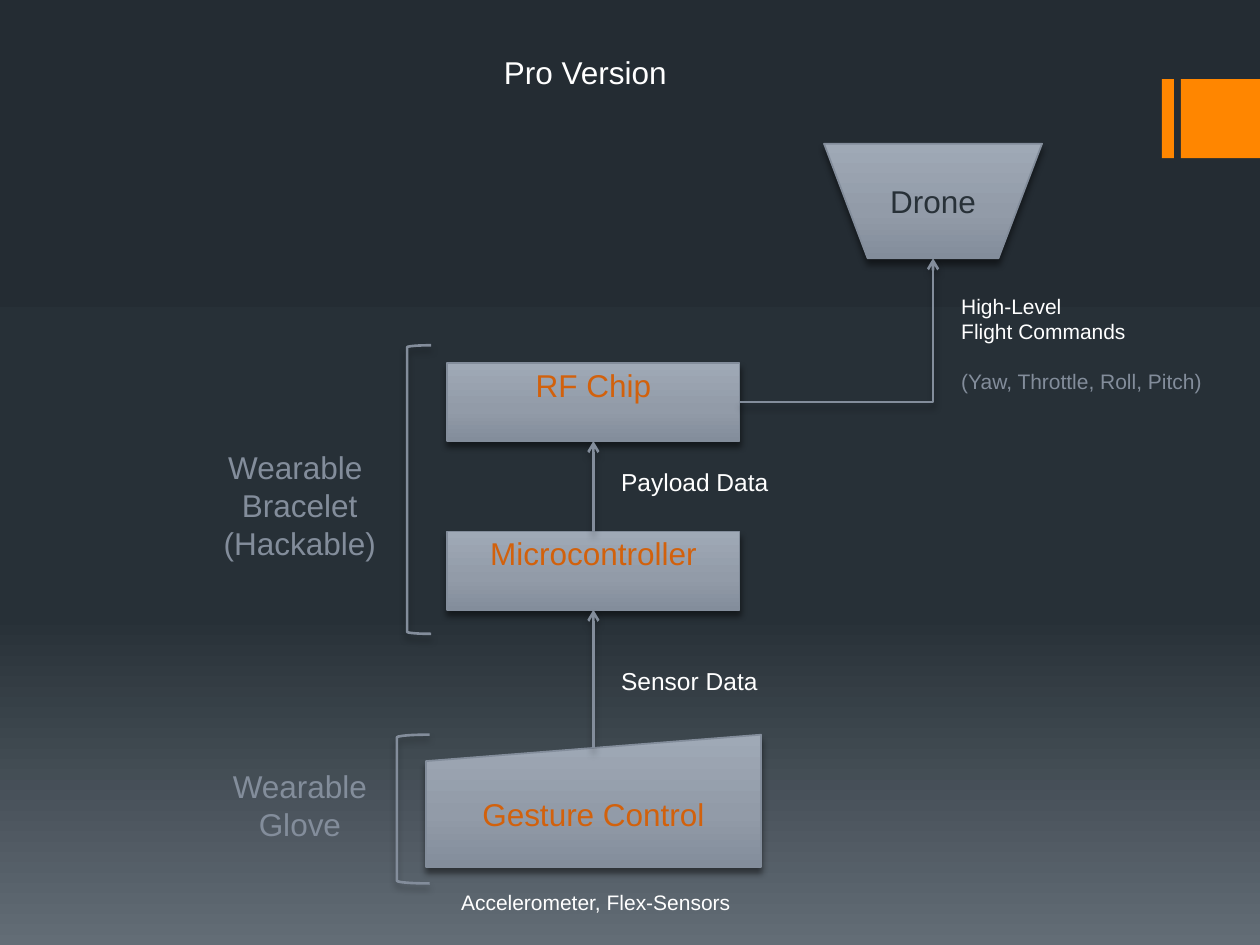
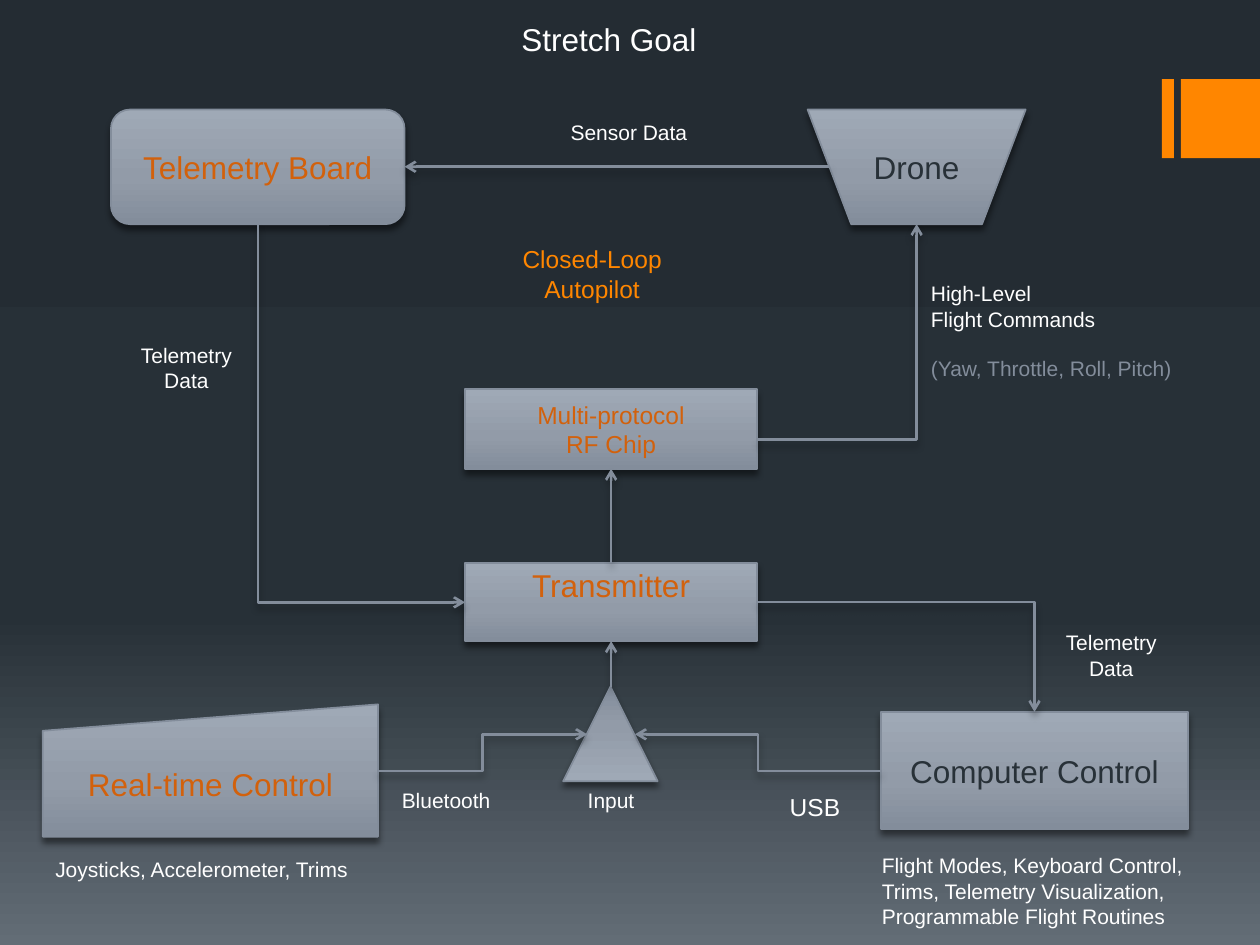
from copy import deepcopy
from lxml.etree import SubElement as Sub
from pptx import Presentation
from pptx.dml.color import RGBColor
from pptx.enum.shapes import MSO_CONNECTOR as Link, MSO_SHAPE as Form
from pptx.enum.text import MSO_ANCHOR as Anchor, PP_ALIGN as Align
from pptx.oxml.ns import qn
from pptx.util import Pt

WHITE, GREY, DARK = "FFFFFF", "838D9B", "283138"
ORANGE, RUST = "FF8600", "D2610C"
STEEL = [(0, "9FA9B6"), (0.6, "929BA8"), (1, GREY)]
NIGHT = [(0, "242C33"), (0.65, "273037"), (1, "636D76")]
TOP, LEFT, BOTTOM, RIGHT = range(4)
BOX = (167, 44.6)
DRONE = (124.6, 65.5)
GLOVE = (191.5, 75.6)


def rgb(code):
    return RGBColor.from_string(code)


def blend(fill, root, stops):
    fill.gradient()
    fill.gradient_angle = 270
    rows = root.xpath(".//a:gsLst")[0]
    rows.append(deepcopy(rows[0]))
    for stop, (place, code) in zip(fill.gradient_stops, stops):
        stop.position = place
        stop.color.rgb = rgb(code)


def shade(host, blur, dist, alpha):
    cast = Sub(host, qn("a:outerShdw"), blurRad=str(Pt(blur)), dist=str(Pt(dist)),
               dir="5400000", algn="ctr", rotWithShape="0")
    tint = Sub(cast, qn("a:srgbClr"), val="000000")
    Sub(tint, qn("a:alpha"), val=str(alpha * 1000))


class Board:
    font = "Arial"

    def __init__(self):
        self.deck = Presentation()
        self.deck.slide_width, self.deck.slide_height = Pt(720), Pt(540)

    def page(self):
        slide = self.deck.slides.add_slide(self.deck.slide_layouts[6])
        self.shapes = slide.shapes
        blend(slide.background.fill, slide.element, NIGHT)
        for x, w in ((664, 6.8), (674.8, 45.2)):
            bar = self.form(Form.RECTANGLE, x, 45.2, w, 45.2)
            bar.fill.solid()
            bar.fill.fore_color.rgb = rgb(ORANGE)
            bar.line.fill.background()

    def form(self, kind, x, y, w, h):
        item = self.shapes.add_shape(kind, Pt(x), Pt(y), Pt(w), Pt(h))
        item.shadow.inherit = False
        return item

    def ink(self, line, width):
        line.color.rgb = rgb(GREY)
        line.width = Pt(width)

    def fill_in(self, frame, text, size, color, align):
        frame.text = text
        for para in frame.paragraphs:
            para.alignment = align
            para.font.name, para.font.size = self.font, Pt(size)
            para.font.color.rgb = rgb(color)

    def node(self, kind, x, y, w, h, text="", color=RUST, size=18, high=False):
        item = self.form(kind, x, y, w, h)
        blend(item.fill, item.element, STEEL)
        self.ink(item.line, 1)
        shade(item.element.spPr.find(qn("a:effectLst")), 3.8, 3, 48)
        if text:
            frame = item.text_frame
            self.fill_in(frame, text, size, color, Align.CENTER)
            frame.vertical_anchor = Anchor.TOP if high else Anchor.MIDDLE
            if high:
                frame.margin_top = Pt(1.6)
        return item

    def brace(self, x, y, w, h):
        item = self.form(Form.LEFT_BRACKET, x, y, w, h)
        item.fill.background()
        self.ink(item.line, 1.5)
        shade(item.element.spPr.find(qn("a:effectLst")), 4, 3, 28)

    def label(self, x, y, w, h, text, size=12, color=WHITE, align=Align.LEFT, wrap=False):
        frame = self.shapes.add_textbox(Pt(x), Pt(y), Pt(w), Pt(h)).text_frame
        frame.word_wrap = wrap
        self.fill_in(frame, text, size, color, align)
        return frame

    def orders(self, x, y):
        frame = self.label(x, y, 153.4, 65.5,
                           "High-Level\nFlight Commands\n(Yaw, Throttle, Roll, Pitch)")
        last = frame.paragraphs[-1]
        last.space_before = Pt(13.8)
        last.font.color.rgb = rgb(GREY)

    def arrow(self, x1, y1, x2, y2, kind=Link.STRAIGHT):
        item = self.shapes.add_connector(kind, Pt(x1), Pt(y1), Pt(x2), Pt(y2))
        self.ink(item.line, 1.5)
        props = item.element.spPr
        Sub(props.find(qn("a:ln")), qn("a:tailEnd"), type="arrow")
        shade(Sub(props, qn("a:effectLst")), 4, 3, 28)
        return item

    def corner(self, x1, y1, x2, y2, start=None, end=None, down=False):
        item = self.arrow(x1, y1, x2, y2, Link.ELBOW)
        props = item.element.spPr
        props.find(qn("a:prstGeom")).set("prst", "bentConnector2")
        if start:
            item.begin_connect(*start)
        if end:
            item.end_connect(*end)
        if down:
            mx, my = (x1 + x2) / 2, (y1 + y2) / 2
            dx, dy = (y2 - y1) / 2, (x2 - x1) / 2
            item.begin_x, item.begin_y = Pt(mx + dx), Pt(my - dy)
            item.end_x, item.end_y = Pt(mx - dx), Pt(my + dy)
            props.find(qn("a:xfrm")).set("rot", "16200000")


def pro(board):
    board.page()
    board.node(Form.FLOWCHART_MANUAL_INPUT, 243.4, 419.8, *GLOVE, "Gesture Control")
    drone = board.node(Form.FLOWCHART_MANUAL_OPERATION, 470.9, 82.1, *DRONE, "Drone", DARK)
    chip = board.node(Form.FLOWCHART_PROCESS, 255.6, 207.4, *BOX, "RF Chip", high=True)
    board.node(Form.FLOWCHART_PROCESS, 255.6, 303.8, *BOX, "Microcontroller", high=True)
    board.arrow(339.1, 303.8, 339.1, 252)
    board.arrow(339.1, 427.7, 339.1, 348.4)
    board.corner(422.6, 229.7, 533.2, 147.6, (chip, RIGHT), (drone, BOTTOM))
    board.brace(232.6, 197.3, 13.7, 164.9)
    board.brace(226.8, 419.8, 18.7, 85)
    board.label(280.8, 26.6, 108.7, 28.8, "Pro Version", 18)
    board.orders(542.2, 164.2)
    board.label(347.8, 263.5, 99.4, 24.5, "Payload Data", 14)
    board.label(347.8, 377.3, 92.9, 24.5, "Sensor Data", 14)
    board.label(245.5, 504.7, 190, 21.6, "Accelerometer, Flex-Sensors", align=Align.CENTER, wrap=True)
    board.label(120.2, 252.7, 102.2, 72.7, "Wearable \nBracelet\n(Hackable)", 18, GREY, Align.CENTER)
    board.label(125.3, 434.9, 92.2, 51.1, "Wearable \nGlove", 18, GREY, Align.CENTER)


def stretch(board):
    board.page()
    board.node(Form.FLOWCHART_MANUAL_INPUT, 24.5, 402.5, *GLOVE, "Real-time Control")
    desk = board.node(Form.FLOWCHART_PROCESS, 503.3, 406.8, 175.7, 67, "Computer Control", DARK)
    drone = board.node(Form.FLOWCHART_MANUAL_OPERATION, 461.5, 62.6, *DRONE, "Drone", DARK)
    meter = board.node(Form.FLOWCHART_ALTERNATE_PROCESS, 63.4, 62.6, 167.8, 65.5, "Telemetry Board")
    radio = board.node(Form.FLOWCHART_PROCESS, 265.7, 321.8, *BOX, "Transmitter", high=True)
    board.node(Form.FLOWCHART_PROCESS, 265.7, 222.5, 167, 45.4, "Multi-protocol\nRF Chip", size=14)
    board.node(Form.FLOWCHART_MERGE, 321.8, 392.4, 54, 54).rotation = 180
    board.arrow(349.2, 392.4, 349.2, 366.4)
    board.arrow(349.2, 321.8, 349.2, 267.9)
    board.arrow(473.8, 95.3, 231.2, 95.3)
    board.arrow(216, 440.6, 335.5, 419.6, Link.ELBOW)
    board.arrow(503.3, 440.6, 362.9, 419.6, Link.ELBOW)
    board.corner(432.7, 344.2, 591.1, 406.8, (radio, RIGHT), (desk, TOP))
    board.corner(147.4, 128.1, 265.7, 344.2, (meter, BOTTOM), (radio, LEFT), True)
    board.corner(432.7, 251.3, 523.8, 128.1, end=(drone, BOTTOM))
    board.label(290.9, 7.9, 115.9, 28.8, "Stretch Goal", 18)
    board.label(319, 64.8, 82.1, 21.6, "Sensor Data")
    board.orders(524.9, 157)
    for x, y in ((72, 192.2), (600.5, 356.4)):
        board.label(x, y, 69.1, 36, "Telemetry Data", align=Align.CENTER, wrap=True)
    board.label(290.9, 136.1, 95, 41, "Closed-Loop \nAutopilot", 14, ORANGE, Align.CENTER)
    board.label(308.9, 446.4, 80.6, 21.6, "Input", align=Align.CENTER, wrap=True)
    board.label(222.5, 446.4, 65.5, 21.6, "Bluetooth")
    board.label(444.2, 449.3, 43.9, 24.5, "USB", 14)
    board.label(24.5, 486, 190, 21.6, "Joysticks, Accelerometer, Trims", wrap=True)
    board.label(496.8, 483.8, 188.6, 51.1,
                "Flight Modes, Keyboard Control,\nTrims, Telemetry Visualization,\n"
                "Programmable Flight Routines")


def main():
    board = Board()
    pro(board)
    stretch(board)
    board.deck.save("out.pptx")


if __name__ == "__main__":
    main()
